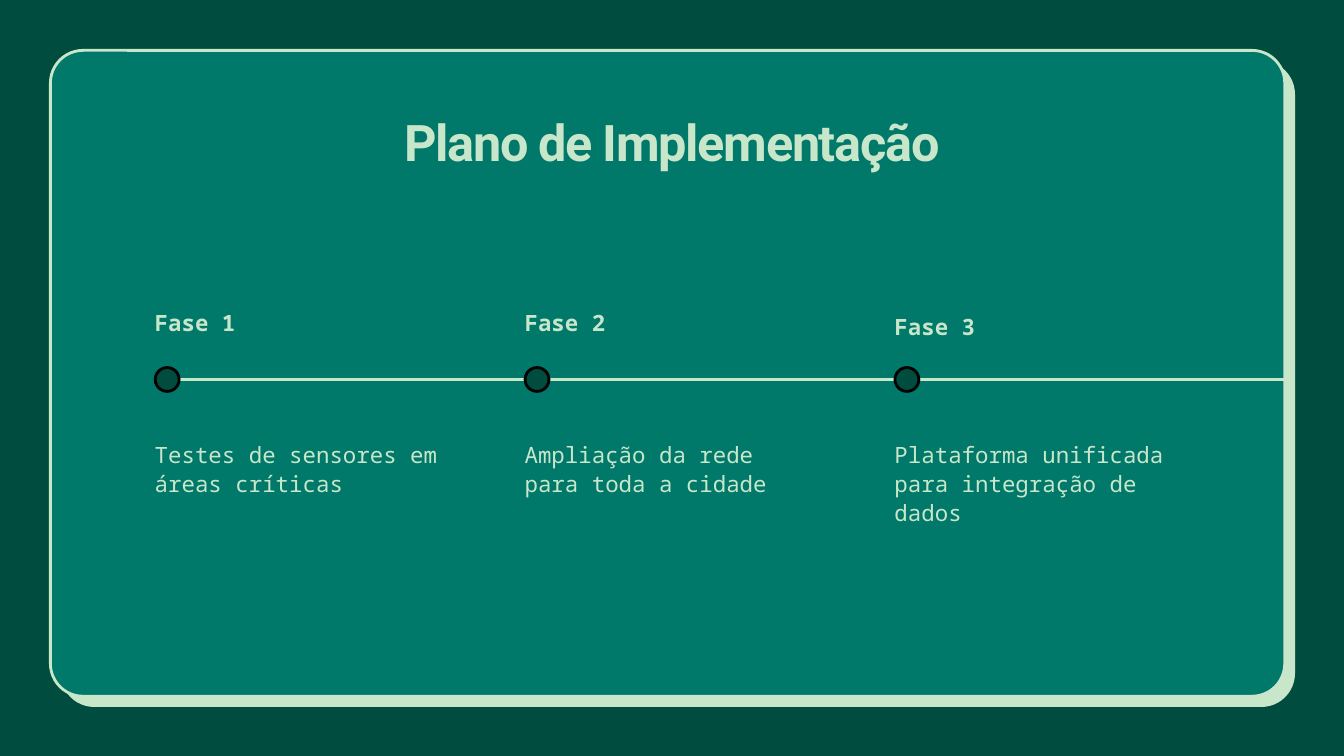
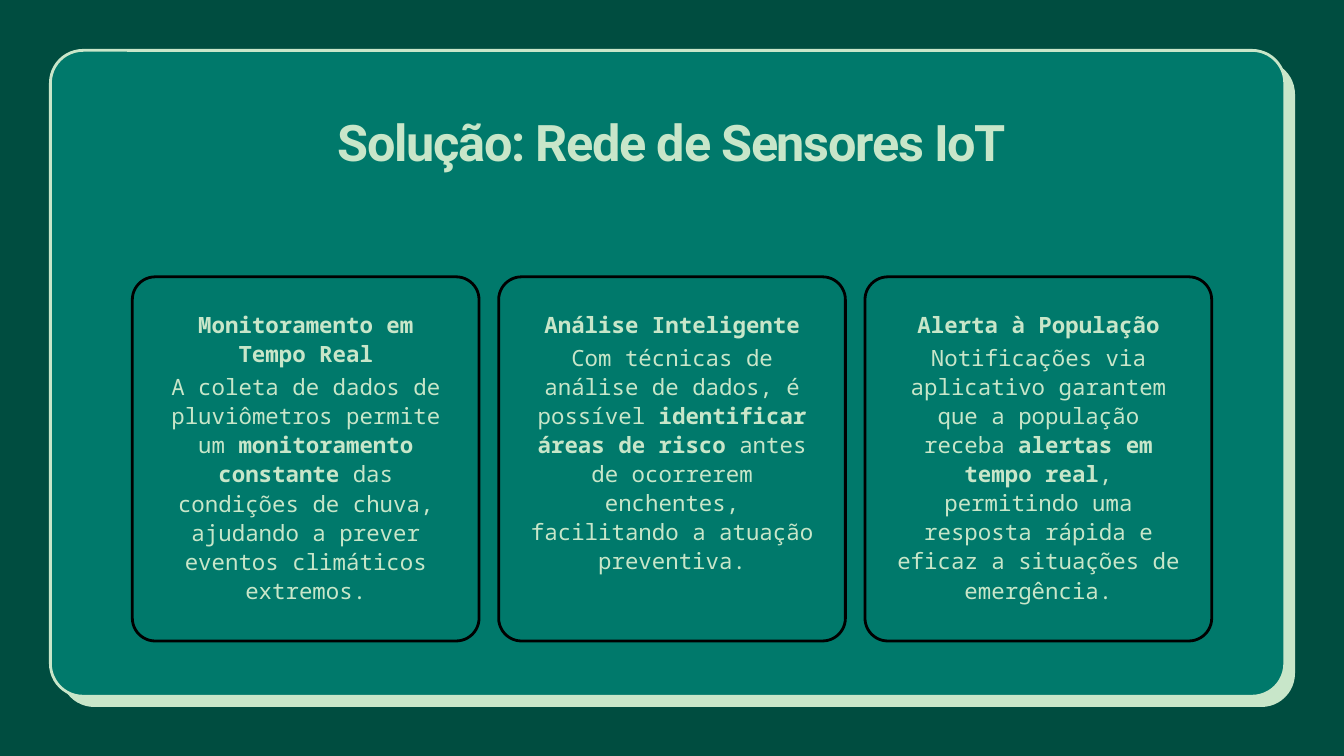
from pptx import Presentation
from pptx.dml.color import RGBColor
from pptx.enum.shapes import MSO_CONNECTOR, MSO_SHAPE
from pptx.enum.text import MSO_ANCHOR, MSO_AUTO_SIZE, PP_ALIGN
from pptx.oxml.ns import qn
from pptx.util import Pt
from lxml.etree import SubElement

DARK = RGBColor(0x00, 0x4D, 0x40)
TEAL = RGBColor(0x00, 0x79, 0x6B)
MINT = RGBColor(0xC8, 0xE6, 0xC9)
BLACK = RGBColor(0, 0, 0)

TITLES = ["Plano de Implementação", "Solução: Rede de Sensores IoT"]

# name, top of the name, description
PHASES = [
    ("Fase 1", 328.3, "Testes de sensores em áreas críticas"),
    ("Fase 2", 328.3, "Ampliação da rede para toda a cidade"),
    ("Fase 3", 332.6, "Plataforma unificada para integração de dados"),
]

# heading, lines in the heading, body with **bold** parts
CARDS = [
    ("Monitoramento em Tempo Real", 2,
     "A coleta de dados de pluviômetros permite um **monitoramento constante** "
     "das condições de chuva, ajudando a prever eventos climáticos extremos."),
    ("Análise Inteligente", 1,
     "Com técnicas de análise de dados, é possível **identificar áreas de risco** "
     "antes de ocorrerem enchentes, facilitando a atuação preventiva."),
    ("Alerta à População", 1,
     "Notificações via aplicativo garantem que a população receba "
     "**alertas em tempo real**, permitindo uma resposta rápida e eficaz a "
     "situações de emergência."),
]


def write(sp, text, size=24, font="Noto Sans Mono", bold=False,
          align=PP_ALIGN.LEFT, leading=31.2, spacing=None):
    """Fill a shape with one paragraph; **marked** parts are bold."""
    tf = sp.text_frame
    tf.word_wrap = True
    tf.auto_size = MSO_AUTO_SIZE.SHAPE_TO_FIT_TEXT
    tf.vertical_anchor = MSO_ANCHOR.TOP
    tf.margin_left = tf.margin_top = tf.margin_right = tf.margin_bottom = 0
    p = tf.paragraphs[0]
    p.alignment = align
    p.line_spacing = Pt(leading)
    p.space_before = Pt(0)
    for i, part in enumerate(text.split("**")):
        r = p.add_run()
        r.text = part
        r.font.name = font
        r.font.size = Pt(size)
        r.font.bold = bold or i % 2 == 1
        r.font.color.rgb = MINT
        if spacing:
            r.font._element.set("spc", str(round(spacing * 100)))


def add_outlined(s, kind, x, y, w, h, fill=None, line=BLACK, radius=None):
    sp = s.shapes.add_shape(kind, Pt(x), Pt(y), Pt(w), Pt(h))
    sp.shadow.inherit = False
    if fill is None:
        sp.fill.background()
    else:
        sp.fill.solid()
        sp.fill.fore_color.rgb = fill
    if line is None:
        sp.line.fill.background()
    else:
        sp.line.color.rgb = line
        sp.line.width = Pt(3)
    if radius:
        sp.adjustments[0] = radius / min(w, h)
    return sp


prs = Presentation()
prs.slide_width, prs.slide_height = Pt(1440), Pt(810)
bg = prs.slide_master.background.fill
bg.solid()
bg.fore_color.rgb = DARK

# Shared panel and title
slides = []
for text in TITLES:
    s = prs.slides.add_slide(prs.slide_layouts[5])
    add_outlined(s, MSO_SHAPE.ROUNDED_RECTANGLE, 65, 65, 1322.5, 692.5,
                 fill=MINT, line=None, radius=36)
    add_outlined(s, MSO_SHAPE.ROUNDED_RECTANGLE, 54, 54, 1322.5, 692,
                 fill=TEAL, line=MINT, radius=35)
    title = s.shapes.title
    title.left, title.top, title.width, title.height = Pt(165.6), Pt(118.8), Pt(1108.8), Pt(69)
    write(title, text, size=54, font="Roboto", bold=True,
          align=PP_ALIGN.CENTER, leading=64.8, spacing=-1.4)
    title.element.getparent().append(title.element)  # in front of the panel
    slides.append(s)
timeline, solution = slides

# Slide 1: timeline
DOT, DOT_X, AXIS_Y = 25.6, 166.3, 406.6
axis = timeline.shapes.add_connector(
    MSO_CONNECTOR.STRAIGHT, Pt(DOT_X + DOT), Pt(AXIS_Y), Pt(1375.2), Pt(AXIS_Y))
axis.line.color.rgb = MINT
axis.line.width = Pt(3)
SubElement(axis.element.spPr, qn("a:effectLst"))

for i, (name, name_y, description) in enumerate(PHASES):
    x = DOT_X + i * 396.3
    add_outlined(timeline, MSO_SHAPE.OVAL, x, AXIS_Y - DOT / 2, DOT, DOT, fill=DARK)
    for text, y, h, bold in [(name, name_y, 34.5, True), (description, 470.2, 64, False)]:
        box = timeline.shapes.add_textbox(Pt(x - 0.5), Pt(y), Pt(316), Pt(h))
        write(box, text, bold=bold)

# Slide 2: cards
CARD_W, CARD_H, PAD = 371.5, 390.2, 29.8
for i, (heading, lines, body) in enumerate(CARDS):
    x = 141.8 + i * 392.5
    add_outlined(solution, MSO_SHAPE.ROUNDED_RECTANGLE, x, 296.6, CARD_W, CARD_H, radius=24.5)
    body_y = 334.2 + lines * 31.6
    for text, y, h, bold in [(heading, 330.5, lines * 32.4, True), (body, body_y, 217, False)]:
        box = solution.shapes.add_textbox(Pt(x + PAD), Pt(y), Pt(CARD_W - 2 * PAD), Pt(h))
        write(box, text, bold=bold, align=PP_ALIGN.CENTER)

prs.save("out.pptx")
